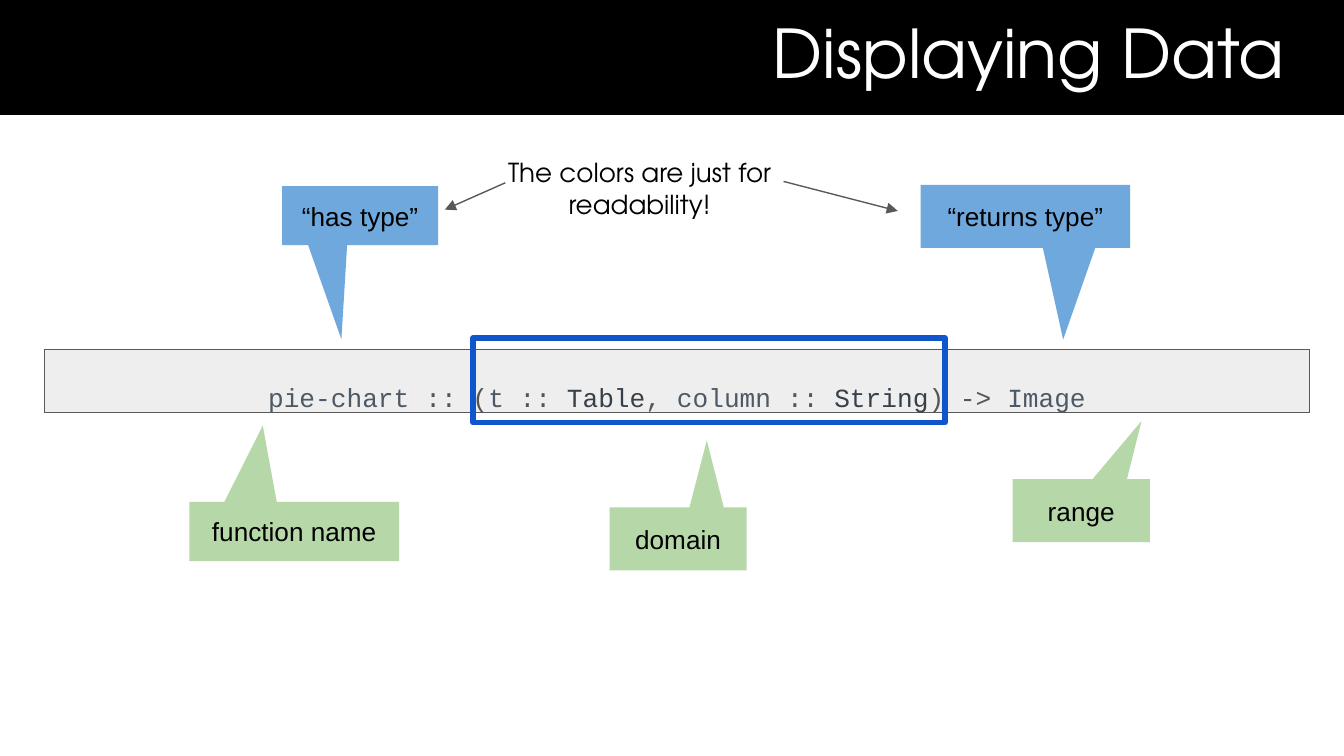
from dataclasses import dataclass

import pptx
import pptx.dml.color
import pptx.enum.shapes
import pptx.enum.text
import pptx.oxml.ns
import pptx.util
from lxml import etree

# Grid: 100 columns across a 16:9 slide, square cells
COLUMNS, ROWS = 100, 56.25
CELL = pptx.util.Inches(0.1)
COLORS = {
    "black": "000000", "white": "FFFFFF", "panel": "EEEEEE", "line": "595959",
    "blue": "6FA8DC", "green": "B6D7A8", "frame": "1155CC",
    "name": "4D5966", "mark": "555555", "type": "374049",
}
SHAPES = pptx.enum.shapes.MSO_SHAPE
ALIGN = pptx.enum.text.PP_ALIGN
ANCHOR = pptx.enum.text.MSO_ANCHOR
DISPLAY_FONT = "TeX Gyre Adventor"


@dataclass
class Box:
    column: float
    row: float
    columns: float
    rows: float

    def place(self) -> list[int]:
        return [cells(n) for n in (self.column, self.row, self.columns, self.rows)]


@dataclass
class Callout:
    text: str
    box: Box
    color: str
    tip_x: float
    tip_y: float


@dataclass
class Arrow:
    start: tuple[float, float]
    end: tuple[float, float]


CODE = [
    ("pie-chart ", "name"), (":: (", "mark"), ("t ", "name"), (":: ", "mark"),
    ("Table", "type"), (", ", "mark"), ("column ", "name"), (":: ", "mark"),
    ("String", "type"), (") -> ", "mark"), ("Image", "name"),
]
CALLOUTS = [
    Callout("function name", Box(14.1, 37.35, 15.6, 4.4), "green", -0.15, -1.79),
    Callout("“has type”", Box(21, 13.85, 11.6, 4.4), "blue", -0.12, 2.09),
    Callout("“returns type”", Box(68.5, 13.75, 15.6, 4.7), "blue", 0.18, 1.95),
    Callout("range", Box(75.35, 35.65, 10.2, 4.7), "green", 0.44, -1.42),
    Callout("domain", Box(45.35, 37.75, 10.2, 4.7), "green", 0.21, -1.56),
]
ARROWS = [Arrow((37.6, 13.6), (33.1, 15.6)), Arrow((58.3, 13.5), (66.8, 15.7))]


def cells(count: float) -> int:
    return round(count * CELL)


def rgb(name: str) -> pptx.dml.color.RGBColor:
    return pptx.dml.color.RGBColor.from_string(COLORS[name])


def write(shape, runs, *, font="Arial", size=14, align=ALIGN.CENTER,
          anchor=ANCHOR.MIDDLE, inset_top=1.0, line_spacing=None) -> None:
    """Fill a shape with one paragraph of (text, color) runs."""
    frame = shape.text_frame
    frame.word_wrap = True
    frame.auto_size = pptx.enum.text.MSO_AUTO_SIZE.NONE
    frame.vertical_anchor = anchor
    frame.margin_left = frame.margin_right = frame.margin_bottom = cells(1)
    frame.margin_top = cells(inset_top)
    paragraph = frame.paragraphs[0]
    paragraph.alignment = align
    if line_spacing:
        paragraph.line_spacing = line_spacing
    for text, color in runs:
        run = paragraph.add_run()
        run.text = text
        run.font.name = font
        run.font.size = pptx.util.Pt(size)
        run.font.color.rgb = rgb(color)


def add_block(slide, kind, box: Box, fill=None, line=None, width=0.75):
    shape = slide.shapes.add_shape(kind, *box.place())
    shape.shadow.inherit = False
    if fill:
        shape.fill.solid()
        shape.fill.fore_color.rgb = rgb(fill)
    else:
        shape.fill.background()
    if line:
        shape.line.color.rgb = rgb(line)
        shape.line.width = pptx.util.Pt(width)
    else:
        shape.line.fill.background()
    return shape


def add_callout(slide, callout: Callout) -> None:
    shape = add_block(slide, SHAPES.ROUNDED_RECTANGULAR_CALLOUT, callout.box, callout.color)
    for index, value in enumerate((callout.tip_x, callout.tip_y, 0)):
        shape.adjustments[index] = value
    write(shape, [(callout.text, "black")])


def add_arrow(slide, arrow: Arrow) -> None:
    points = [cells(n) for n in (*arrow.start, *arrow.end)]
    connector = slide.shapes.add_connector(
        pptx.enum.shapes.MSO_CONNECTOR.STRAIGHT, *points)
    connector.line.color.rgb = rgb("line")
    connector.line.width = pptx.util.Pt(0.75)
    qualified = pptx.oxml.ns.qn
    properties = connector._element.spPr
    etree.SubElement(properties.find(qualified("a:ln")), qualified("a:tailEnd"), type="triangle")
    etree.SubElement(properties, qualified("a:effectLst"))


def main() -> None:
    presentation = pptx.Presentation()
    presentation.slide_width = cells(COLUMNS)
    presentation.slide_height = cells(ROWS)
    slide = presentation.slides.add_slide(presentation.slide_layouts.get_by_name("Title Only"))

    # Header band, kept behind the title
    band = add_block(slide, SHAPES.RECTANGLE, Box(0, 0, COLUMNS, 8.55), "black")
    title = slide.shapes.title
    band._element.addnext(title._element)
    title.left, title.top, title.width, title.height = Box(19.1, -0.15, 77.5, 6.3).place()
    write(title, [("Displaying Data", "white")], font=DISPLAY_FONT, size=36,
          align=ALIGN.RIGHT, anchor=ANCHOR.TOP)

    # Function signature
    panel = add_block(slide, SHAPES.RECTANGLE, Box(3.3, 26, 94.15, 4.7), "panel", "line")
    write(panel, CODE, font="Courier New", inset_top=2.4, line_spacing=1.45)

    # Labels and the frame around the domain
    for callout in CALLOUTS:
        add_callout(slide, callout)
    add_block(slide, SHAPES.RECTANGLE, Box(35.2, 25.15, 35.1, 6.3), line="frame", width=3)

    # Remark with arrows to the blue labels
    remark = slide.shapes.add_textbox(*Box(35.15, 10.65, 24.9, 5.1).place())
    write(remark, [("The colors are just for readability!", "black")],
          font=DISPLAY_FONT, anchor=ANCHOR.TOP)
    for arrow in ARROWS:
        add_arrow(slide, arrow)

    presentation.save("out.pptx")


if __name__ == "__main__":
    main()
